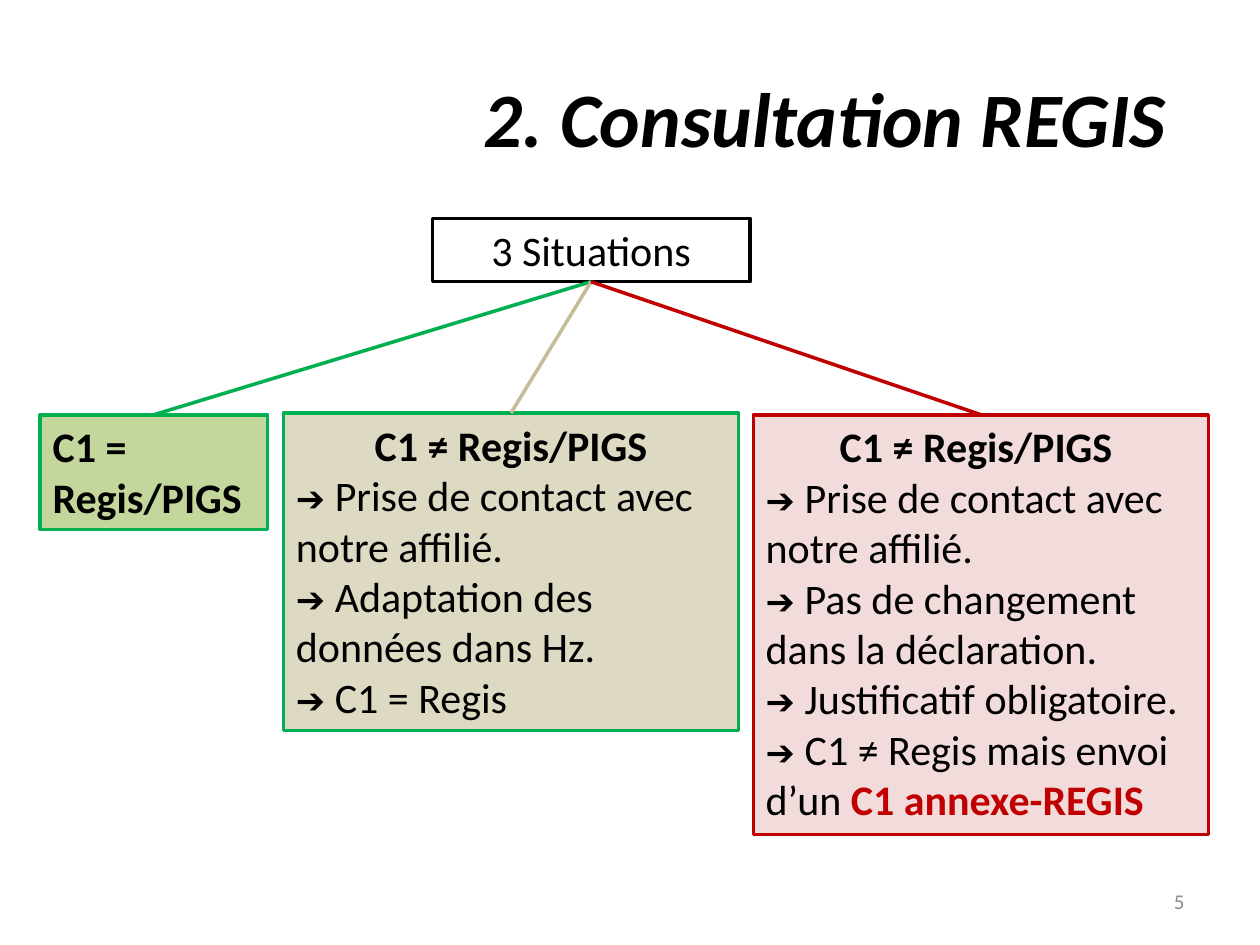
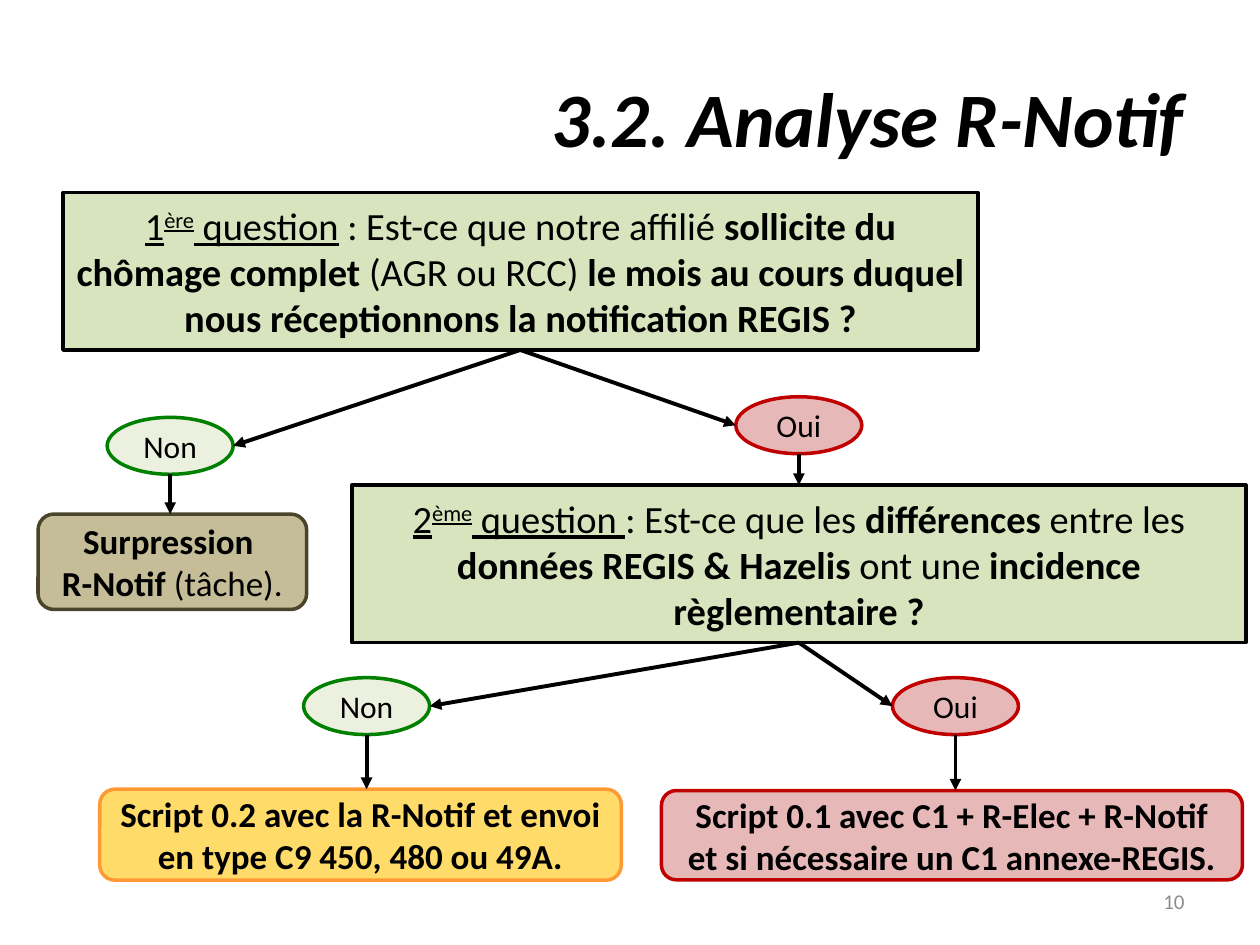
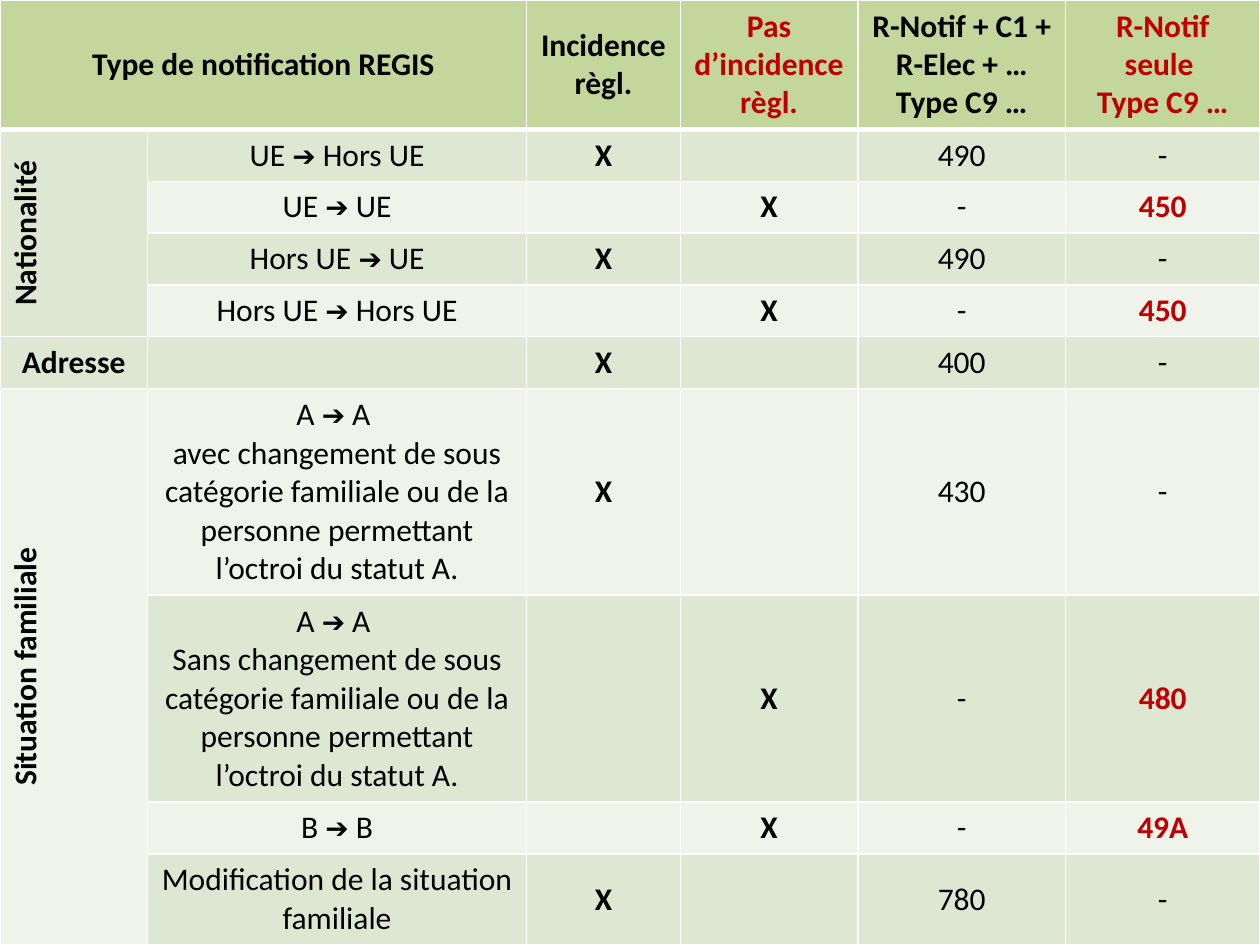
from lxml import etree
from pptx import Presentation
from pptx.dml.color import RGBColor
from pptx.enum import shapes, text
from pptx.oxml import ns
from pptx.util import Pt

FONT = "Calibri"
COLORS = {
    "black": "000000", "white": "FFFFFF", "grey": "8C8C8C",
    "red": "C00000", "pink": "E6B9B8", "pale_pink": "F2DCDB",
    "green": "00B050", "dark_green": "008000", "header_green": "C3D69B",
    "question_green": "D7E4BD", "pale_green": "EBF1DE",
    "tan": "C4BD97", "pale_tan": "DDD9C3", "brown": "4A452A",
    "yellow": "FFDB69", "orange": "FF9933",
    "band_dark": "DEE7D1", "band_light": "EFF3EA",
}
ALIGN = text.PP_ALIGN
ANCHOR = text.MSO_ANCHOR
SHAPE = shapes.MSO_SHAPE
ARROW = "➔"
BOLD = {"bold": True}
UNDERLINE = {"underline": True}
TOP, LEFT, BOTTOM, RIGHT = range(4)


def rgb(name):
    return RGBColor.from_string(COLORS[name])


def write_text(frame, paragraphs, align=ALIGN.CENTER, first_align=None,
               anchor=ANCHOR.MIDDLE, **base):
    frame.word_wrap = True
    frame.vertical_anchor = anchor
    for index, runs in enumerate(paragraphs):
        paragraph = frame.paragraphs[0] if index == 0 else frame.add_paragraph()
        paragraph.alignment = first_align if index == 0 and first_align else align
        for item in [runs] if isinstance(runs, str) else runs:
            content, own = (item, {}) if isinstance(item, str) else item
            style = {"size": 18, "color": "black", "bold": False, **base, **own}
            run = paragraph.add_run()
            run.text = content
            font = run.font
            font.name = FONT
            font.size = Pt(style["size"])
            font.bold = style["bold"]
            font.italic = style.get("italic", False)
            font.underline = style.get("underline", False)
            font.color.rgb = rgb(style["color"])
            if style.get("superscript"):
                run._r.get_or_add_rPr().set("baseline", "30000")


def with_arrow(line, size):
    before, arrow, after = line.partition(ARROW)
    parts = [before, (arrow, {"size": size}), after]
    return [part for part in parts if part and part[0]]


def add_box(slide, box, paragraphs, fill, line, kind=SHAPE.RECTANGLE, **style):
    shape = slide.shapes.add_shape(kind, *map(Pt, box))
    shape.shadow.inherit = False
    if fill:
        shape.fill.solid()
        shape.fill.fore_color.rgb = rgb(fill)
    else:
        shape.fill.background()
    shape.line.color.rgb = rgb(line)
    shape.line.width = Pt(2)
    write_text(shape.text_frame, paragraphs, **style)
    return shape


def side_point(shape, side):
    x = shape.left + {LEFT: 0, RIGHT: shape.width}.get(side, shape.width // 2)
    y = shape.top + {TOP: 0, BOTTOM: shape.height}.get(side, shape.height // 2)
    return x, y


def connect(slide, start, end, color="black", width=2.25, arrow=True, join_end=True):
    start_point, end_point = side_point(*start), side_point(*end)
    if not join_end:
        end_point = start_point[0], end_point[1]
    connector = slide.shapes.add_connector(
        shapes.MSO_CONNECTOR.STRAIGHT, *start_point, *end_point)
    if start[0].auto_shape_type != SHAPE.OVAL:
        connector.begin_connect(*start)
    if join_end and end[0].auto_shape_type != SHAPE.OVAL:
        connector.end_connect(*end)
    connector.line.color.rgb = rgb(color)
    connector.line.width = Pt(width)
    if arrow:
        outline = connector.line._get_or_add_ln()
        etree.SubElement(outline, ns.qn("a:tailEnd"), type="triangle")
    etree.SubElement(connector._element.spPr, ns.qn("a:effectLst"))


def add_titled_slide(presentation, title, number):
    slide = presentation.slides.add_slide(presentation.slide_layouts[5])
    heading = slide.shapes.title
    heading.left, heading.top, heading.width, heading.height = map(Pt, (36, 21.6, 648, 90))
    write_text(heading.text_frame, [title], align=ALIGN.RIGHT,
               size=44, bold=True, italic=True)
    footer = slide.shapes.add_textbox(*map(Pt, (516, 500.5, 168, 28.75)))
    write_text(footer.text_frame, [number], align=ALIGN.RIGHT, size=12, color="grey")
    return slide


def build_situations(presentation):
    slide = add_titled_slide(presentation, "2. Consultation REGIS ", "5")
    root = add_box(slide, (247, 124.75, 181.5, 36.25), ["3 Situations"], None, "black",
                   size=24, anchor=ANCHOR.TOP)
    contact = ARROW + " Prise de contact avec notre affilié."
    heading = [("C1 ≠ Regis/PIGS", BOLD)]
    situations = [
        ((23, 237, 130, 65.5), "header_green", "green", "green", ALIGN.LEFT,
         [[("C1 = Regis/PIGS", BOLD)]]),
        ((162, 236, 260, 181.5), "pale_tan", "green", "tan", ALIGN.CENTER,
         [heading, with_arrow(contact, 20),
          with_arrow(ARROW + " Adaptation des données dans Hz.", 20),
          with_arrow(ARROW + " C1 = Regis", 20)]),
        ((430.5, 237, 260, 240), "pale_pink", "red", "red", ALIGN.CENTER,
         [[("C1 ≠ Regis/PIGS ", BOLD)], with_arrow(contact, 20),
          with_arrow(ARROW + " Pas de changement dans la déclaration.", 20),
          with_arrow(ARROW + " Justificatif obligatoire.", 20),
          with_arrow(ARROW + " C1 ≠ Regis mais envoi d’un ", 20)
          + [("C1 annexe-REGIS", {"bold": True, "color": "red"})]]),
    ]
    for box, fill, line, link, first_align, paragraphs in situations:
        situation = add_box(slide, box, paragraphs, fill, line, size=24,
                            align=ALIGN.LEFT, first_align=first_align, anchor=ANCHOR.TOP)
        connect(slide, (root, BOTTOM), (situation, TOP), link, width=2, arrow=False)


def add_question(slide, box, runs):
    return add_box(slide, box, [runs], "question_green", "black", size=22)


def add_answer(slide, question, label, left, top):
    fill, line, side = {"Non": ("pale_green", "dark_green", RIGHT),
                        "Oui": ("pink", "red", LEFT)}[label]
    answer = add_box(slide, (left, top, 72, 32.5), [label], fill, line, SHAPE.OVAL)
    connect(slide, (question, BOTTOM), (answer, side))
    return answer


def add_outcome(slide, answer, box, paragraphs, fill, line):
    outcome = add_box(slide, box, paragraphs, fill, line, SHAPE.ROUNDED_RECTANGLE,
                      size=20, bold=True)
    connect(slide, (answer, BOTTOM), (outcome, TOP), join_end=False)


def build_analysis(presentation):
    slide = add_titled_slide(presentation, "3.2. Analyse R-Notif", "10")
    first = add_question(slide, (36, 110, 522.75, 90), [
        ("1", UNDERLINE), ("ère", {"underline": True, "superscript": True}),
        (" question", UNDERLINE), " : Est-ce que notre affilié ",
        ("sollicite du chômage complet ", BOLD), "(AGR ou RCC) ",
        ("le mois au cours duquel nous réceptionnons la notification REGIS ?", BOLD)])
    first_no = add_answer(slide, first, "Non", 61.25, 238.5)
    first_yes = add_answer(slide, first, "Oui", 420.5, 226.75)
    add_outcome(slide, first_no, (21.75, 293.75, 153.5, 54.5),
                ["Surpression ", ["R-Notif ", ("(tâche).", {"bold": False})]],
                "tan", "brown")
    second = add_question(slide, (201, 277.25, 511, 90), [
        ("2", UNDERLINE), ("ème", {"underline": True, "superscript": True}),
        (" question ", UNDERLINE), ": Est-ce que les ", ("différences", BOLD),
        " entre les ", ("données REGIS & Hazelis", BOLD), " ont une ",
        ("incidence règlementaire ?", BOLD)])
    connect(slide, (first_yes, BOTTOM), (second, TOP))
    second_no = add_answer(slide, second, "Non", 173.5, 387.25)
    second_yes = add_answer(slide, second, "Oui", 510, 387.25)
    add_outcome(slide, second_no, (57, 451, 298, 52),
                ["Script 0.2 avec la R-Notif et envoi en type C9 450, 480 ou 49A."],
                "yellow", "orange")
    add_outcome(slide, second_yes, (378, 451.75, 332, 51),
                ["Script 0.1 avec C1 + R-Elec + R-Notif",
                 "et si nécessaire un C1 annexe-REGIS."], "pink", "red")


def format_cell(cell, fill, top=1, bottom=1):
    properties = cell._tc.get_or_add_tcPr()
    for edge, width in (("L", 1), ("R", 1), ("T", top), ("B", bottom)):
        border = etree.SubElement(properties, ns.qn("a:ln" + edge), w=str(Pt(width)))
        paint = etree.SubElement(border, ns.qn("a:solidFill"))
        etree.SubElement(paint, ns.qn("a:srgbClr"), val=COLORS["white"])
    cell.fill.solid()
    cell.fill.fore_color.rgb = rgb(fill)
    cell.vertical_anchor = ANCHOR.MIDDLE


def fill_cell(cell, paragraphs, **style):
    write_text(cell.text_frame, paragraphs, anchor=None, **style)


def build_notifications(presentation):
    slide = presentation.slides.add_slide(presentation.slide_layouts[6])
    widths = [84.25, 216.75, 87.75, 101.5, 118.75, 111]
    heights = [74] + [29.6] * 5 + [118.2] * 2 + [29.6, 52]
    change = " changement de sous catégorie familiale ou de la personne permettant l’octroi du statut A."
    rows = [
        (["UE ➔ Hors UE"], "490", True),
        (["UE ➔ UE"], "450", False),
        (["Hors UE ➔ UE"], "490", True),
        (["Hors UE ➔ Hors UE"], "450", False),
        ([], "400", True),
        (["A ➔ A ", "avec" + change], "430", True),
        (["A ➔ A ", "Sans" + change], "480", False),
        (["B ➔ B"], "49A", False),
        (["Modification de la situation familiale"], "780", True),
    ]
    headers = [
        (0, ["Type de notification REGIS"], "black"),
        (2, ["Incidence règl."], "black"),
        (3, ["Pas d’incidence règl."], "red"),
        (4, ["R-Notif + C1 + R-Elec + …", "Type C9 …"], "black"),
        (5, ["R-Notif seule ", "Type C9 …"], "red"),
    ]
    groups = [(1, 4, "Nationalité"), (5, 5, "Adresse"), (6, 9, "Situation familiale")]

    table = slide.shapes.add_table(len(heights), len(widths), 0, 0,
                                   Pt(sum(widths)), Pt(sum(heights))).table
    table.first_row = table.horz_banding = False
    for column, width in zip(table.columns, widths):
        column.width = Pt(width)
    for index, (row, height) in enumerate(zip(table.rows, heights)):
        row.height = Pt(height)
        fill = "header_green" if index == 0 else "band_dark" if index % 2 else "band_light"
        for cell in row.cells:
            format_cell(cell, fill, top=3 if index == 1 else 1, bottom=3 if index == 0 else 1)

    table.cell(0, 0).merge(table.cell(0, 1))
    for column, paragraphs, color in headers:
        fill_cell(table.cell(0, column), paragraphs, bold=True, color=color)
    for first, last, label in groups:
        cell = table.cell(first, 0)
        if last > first:
            cell.merge(table.cell(last, 0))
            cell._tc.get_or_add_tcPr().set("vert", "vert270")
        fill_cell(cell, [label], bold=True)
    for index, (situation, code, has_incidence) in enumerate(rows, 1):
        fill_cell(table.cell(index, 1), [with_arrow(line, 16) for line in situation])
        fill_cell(table.cell(index, 2 if has_incidence else 3), ["X"], bold=True)
        fill_cell(table.cell(index, 4), [code if has_incidence else "-"])
        if has_incidence:
            fill_cell(table.cell(index, 5), ["-"])
        else:
            fill_cell(table.cell(index, 5), [code], bold=True, color="red")


def main():
    presentation = Presentation()
    presentation.slide_width, presentation.slide_height = Pt(720), Pt(540)
    build_situations(presentation)
    build_analysis(presentation)
    build_notifications(presentation)
    presentation.save("out.pptx")


if __name__ == "__main__":
    main()
